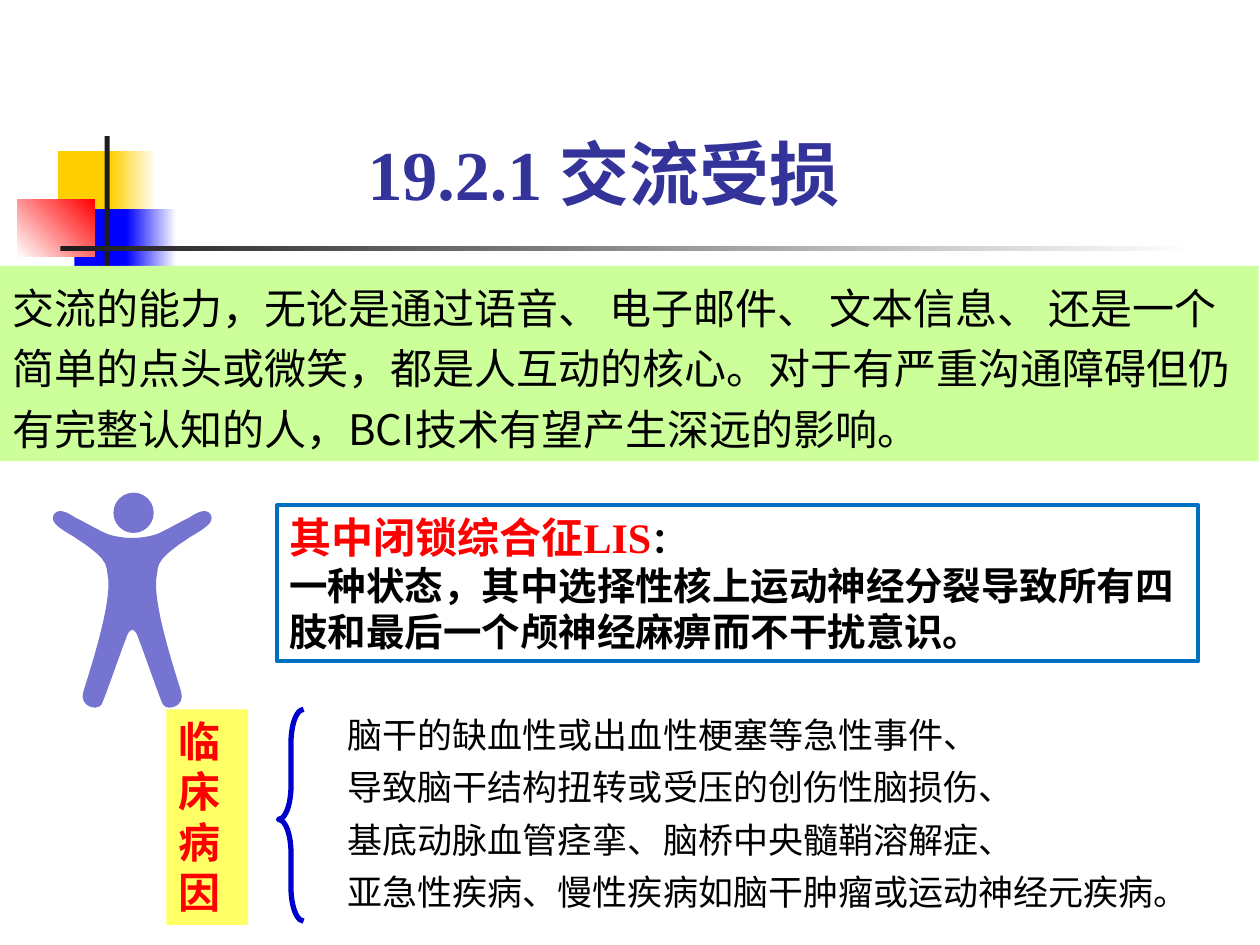
from typing import NamedTuple, Optional

from lxml import etree
from pptx import Presentation
from pptx.dml.color import RGBColor
from pptx.enum import shapes, text
from pptx.oxml import ns
from pptx.util import Inches, Pt

SERIF = "Times New Roman"
SANS = "Noto Sans CJK SC"
PERSON = "7575D1"


class Block(NamedTuple):
    left: float
    top: float
    width: float
    height: float
    color: Optional[str] = None
    fade_to: Optional[str] = None
    angle: float = 0


class Span(NamedTuple):
    words: str
    size: float
    color: str = "000000"
    font: str = SERIF
    bold: bool = True


# Corner ornament, from back to front
ORNAMENT = [
    Block(0.46, 1.2, 0.48, 0.52, "FFCF01"),
    Block(0.88, 1.2, 0.36, 0.52, "FFCF01", "FFFFFF"),
    Block(0.59, 1.66, 0.46, 0.52, "0000FF"),
    Block(1, 1.66, 0.4, 0.52, "0000FF", "FFFFFF"),
    Block(0.14, 1.58, 0.61, 0.46, "FFFFFF", "FF0000", 45),
    Block(0.83, 1.08, 0.04, 1.15, "1C1C1C"),
    Block(0.48, 1.95, 9, 0.04, "1C1C1C", "FFFFFF"),
]

# Left half of the person: neck point, then cubic curves down to the crotch
NECK = (1.05, 4.27)
LEFT_HALF = [
    ((0.96, 4.27), (0.89, 4.25), (0.89, 4.25)),
    ((0.83, 4.24), (0.67, 4.14), (0.6, 4.11)),
    ((0.54, 4.07), (0.47, 4.03), (0.43, 4.08)),
    ((0.4, 4.13), (0.44, 4.17), (0.52, 4.22)),
    ((0.6, 4.27), (0.59, 4.26), (0.63, 4.29)),
    ((0.68, 4.32), (0.8, 4.41), (0.82, 4.45)),
    ((0.85, 4.48), (0.85, 4.54), (0.86, 4.6)),
    ((0.88, 4.85), (0.67, 5.45), (0.66, 5.5)),
    ((0.65, 5.54), (0.66, 5.59), (0.72, 5.61)),
    ((0.78, 5.63), (0.81, 5.6), (0.82, 5.56)),
    ((0.85, 5.49), (0.96, 5.17), (1, 5.07)),
    ((1.01, 5.03), (1.03, 5), (1.05, 5)),
]
CAUSES = [
    "脑干的缺血性或出血性梗塞等急性事件、",
    "导致脑干结构扭转或受压的创伤性脑损伤、",
    "基底动脉血管痉挛、脑桥中央髓鞘溶解症、",
    "亚急性疾病、慢性疾病如脑干肿瘤或运动神经元疾病。",
]


def rgb(color: str) -> RGBColor:
    return RGBColor.from_string(color)


def paint(shape, color: Optional[str], line: Optional[str] = None, weight: float = 1) -> None:
    shape.shadow.inherit = False
    if color:
        shape.fill.solid()
        shape.fill.fore_color.rgb = rgb(color)
    else:
        shape.fill.background()
    if line:
        shape.line.color.rgb = rgb(line)
        shape.line.width = Pt(weight)
    else:
        shape.line.fill.background()


def add_block(page, block: Block, kind=shapes.MSO_SHAPE.RECTANGLE,
              line: Optional[str] = None, weight: float = 1):
    shape = page.shapes.add_shape(kind, *(Inches(value) for value in block[:4]))
    paint(shape, block.color, line, weight)
    if block.fade_to:
        shape.fill.gradient()
        shape.fill.gradient_angle = block.angle
        for stop, color in zip(shape.fill.gradient_stops, (block.color, block.fade_to)):
            stop.color.rgb = rgb(color)
    return shape


def write(box, paragraphs: list[list[Span]], *, align=text.PP_ALIGN.LEFT,
          anchor=text.MSO_ANCHOR.TOP, spacing: Optional[float] = None,
          grow: bool = True) -> None:
    frame = box.text_frame
    frame.word_wrap = True
    frame.vertical_anchor = anchor
    if grow:
        frame.auto_size = text.MSO_AUTO_SIZE.SHAPE_TO_FIT_TEXT
    for index, spans in enumerate(paragraphs):
        para = frame.add_paragraph() if index else frame.paragraphs[0]
        para.alignment = align
        if spacing:
            para.line_spacing = spacing
        for item in spans:
            span = para.add_run()
            span.text = item.words
            font = span.font
            font.size, font.bold, font.name = Pt(item.size), item.bold, item.font
            font.color.rgb = rgb(item.color)
            # East Asian typeface
            etree.SubElement(span._r.get_or_add_rPr(), ns.qn("a:ea"), typeface=SANS)


def add_text(page, block: Block, paragraphs: list[list[Span]], **options) -> None:
    box = page.shapes.add_textbox(*(Inches(value) for value in block[:4]))
    write(box, paragraphs, **options)


def bend(shape) -> None:
    """Turn each three straight segments into one cubic curve."""
    segments = list(shape._element.iter(ns.qn("a:lnTo")))
    for start in range(0, len(segments), 3):
        curve = etree.Element(ns.qn("a:cubicBezTo"))
        segments[start].addprevious(curve)
        for segment in segments[start:start + 3]:
            curve.append(segment[0])
            segment.getparent().remove(segment)


def add_person(page) -> None:
    left = [NECK] + [point for curve in LEFT_HALF for point in curve]
    right = [(2 * NECK[0] - x, y) for x, y in reversed(left[:-1])]
    outline = [(round(x * 100), round(y * 100)) for x, y in left + right]
    builder = page.shapes.build_freeform(*outline[0], scale=Inches(0.01))
    builder.add_line_segments(outline[1:], close=True)
    body = builder.convert_to_shape()
    bend(body)
    paint(body, PERSON)
    add_block(page, Block(0.9, 3.91, 0.32, 0.32, PERSON), shapes.MSO_SHAPE.OVAL)


def main() -> None:
    deck = Presentation()
    deck.slide_width, deck.slide_height = Inches(10), Inches(7.5)
    page = deck.slides.add_slide(deck.slide_layouts[6])

    # Ornament and title
    for block in ORNAMENT:
        add_block(page, block)
    add_text(page, Block(1.5, 0.83, 6.58, 0.92), [[Span("19.2.1 交流受损", 40, "333399")]],
             align=text.PP_ALIGN.CENTER, anchor=text.MSO_ANCHOR.BOTTOM, grow=False)

    # Introduction
    intro = add_block(page, Block(0, 2.11, 9.99, 1.55, "CCFF99"))
    write(intro, [[Span(
        "交流的能力，无论是通过语音、 电子邮件、 文本信息、 还是一个简单的点头或微笑，"
        "都是人互动的核心。对于有严重沟通障碍但仍有完整认知的人，BCI技术有望产生深远的影响。",
        24, font=SANS, bold=False)]], spacing=1.2)

    add_person(page)

    # Definition
    definition = add_block(page, Block(2.2, 4.01, 7.31, 1.24), line="0070C0", weight=2.25)
    write(definition, [
        [Span("其中闭锁综合征LIS", 24, "FF0000"), Span("：", 20)],
        [Span("一种状态，其中选择性核上运动神经分裂导致所有四肢和最后一个颅神经麻痹而不干扰意识。", 22)],
    ])

    # Clinical causes
    label = add_block(page, Block(1.32, 5.63, 0.65, 1.71, "FFFF66"))
    write(label, [[Span("临床病因", 24, "FF0000")]])
    brace = add_block(page, Block(2.21, 5.63, 0.2, 1.68), shapes.MSO_SHAPE.LEFT_BRACE,
                      line="0000CC", weight=3)
    brace.adjustments[0], brace.adjustments[1] = 1.33, 0.52
    add_text(page, Block(2.66, 5.53, 6.61, 1.78),
             [[Span(cause, 20, font=SANS, bold=False)] for cause in CAUSES], spacing=1.25)

    deck.save("out.pptx")


if __name__ == "__main__":
    main()
